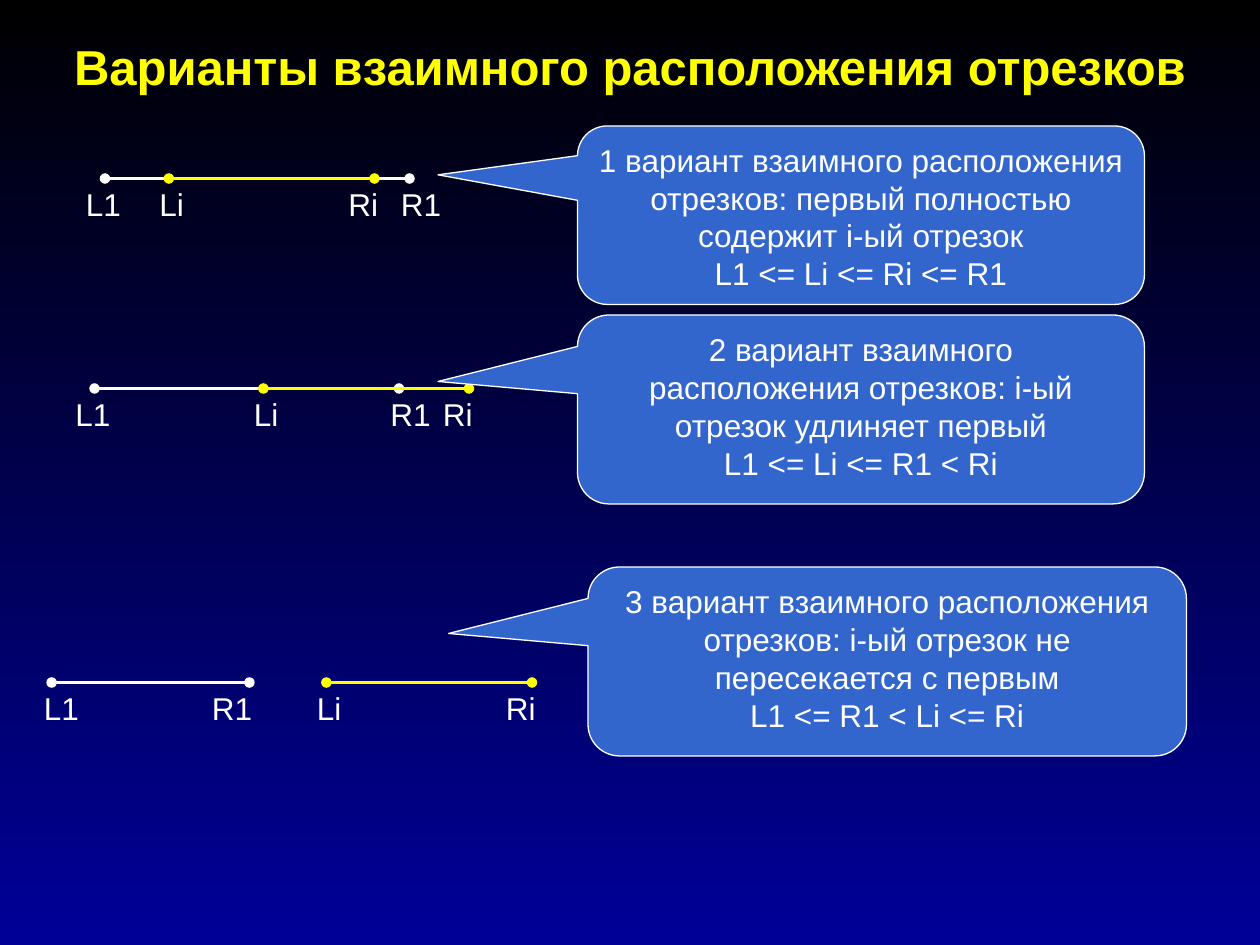
import pptx
import pptx.util
import pptx.dml.color
import pptx.enum.shapes
import pptx.enum.text
import pptx.oxml
import pptx.oxml.ns

Pt = pptx.util.Pt
RGB = pptx.dml.color.RGBColor.from_string
ALIGN = pptx.enum.text.PP_ALIGN
ANCHOR = pptx.enum.text.MSO_ANCHOR

THEME = {
    "font": "Arial",
    "title_size": 28,
    "text_size": 18,
    "title": "FFFF00",
    "text": "FFFFFF",
    "first": "FFFFFF",
    "other": "FFFF00",
    "callout": "3366CC",
    "sky": ("000000", "000099"),
}

TITLE = "Варианты взаимного расположения отрезков"
CASES = [
    {
        "y": 102,
        "segments": [
            ("first", 60, 234, [("L1", 42, 36), ("R1", 222, 42)]),
            ("other", 96.5, 214, [("Li", 84, 36), ("Ri", 192, 42)]),
        ],
        "callout": (330, 72, 324, 102),
        "tail": (-0.746, -0.226),
        "text": [
            "1 вариант взаимного расположения отрезков: первый полностью содержит i-ый отрезок",
            "L1 <= Li <= Ri <= R1",
        ],
    },
    {
        "y": 222,
        "segments": [
            ("first", 54, 228, [("L1", 36, 36), ("R1", 216, 42)]),
            ("other", 150.5, 268, [("Li", 138, 36), ("Ri", 246, 42)]),
        ],
        "callout": (330, 180, 324, 108),
        "tail": (-0.746, -0.148),
        "text": [
            "2 вариант взаимного расположения отрезков: i-ый отрезок удлиняет первый",
            "L1 <= Li <= R1 < Ri",
        ],
    },
    {
        "y": 390,
        "segments": [
            ("first", 29.5, 142.5, [("L1", 18, 42), ("R1", 114, 48)]),
            ("other", 186.5, 304, [("Li", 174, 36), ("Ri", 282, 42)]),
        ],
        "callout": (336, 324, 342, 108),
        "tail": (-0.733, -0.148),
        "text": [
            "3 вариант взаимного расположения отрезков: i-ый отрезок не пересекается с первым",
            "L1 <= R1 < Li <= Ri",
        ],
    },
]


def write(tf, lines, size, color, align, bold=False):
    tf.word_wrap = True
    for i, line in enumerate(lines):
        p = tf.paragraphs[0] if i == 0 else tf.add_paragraph()
        p.text = line
        p.alignment = align
        p.space_before = Pt(0)
        p.font.name = THEME["font"]
        p.font.size = Pt(size)
        p.font.bold = bold
        p.font.color.rgb = RGB(color)


def add_segment(s, y, color, x1, x2, labels):
    group = s.shapes.add_group_shape()
    line = group.shapes.add_connector(
        pptx.enum.shapes.MSO_CONNECTOR.STRAIGHT, Pt(x1), Pt(y), Pt(x2), Pt(y))
    line.line.color.rgb = RGB(THEME[color])
    line.line.width = Pt(2)
    ln = line.line._get_or_add_ln()
    for end in ("a:headEnd", "a:tailEnd"):
        el = pptx.oxml.ns.qn(end)
        ln.append(ln.makeelement(el, {"type": "oval"}))
    sp_pr = ln.getparent()
    sp_pr.append(sp_pr.makeelement(pptx.oxml.ns.qn("a:effectLst"), {}))
    for text, x, width in labels:
        box = group.shapes.add_textbox(Pt(x), Pt(y), Pt(width), Pt(29))
        write(box.text_frame, [text], THEME["text_size"], THEME["text"], ALIGN.LEFT)
        box.text_frame.auto_size = pptx.enum.text.MSO_AUTO_SIZE.SHAPE_TO_FIT_TEXT


def add_callout(s, box, tail, lines):
    sp = s.shapes.add_shape(
        pptx.enum.shapes.MSO_SHAPE.ROUNDED_RECTANGULAR_CALLOUT, *map(Pt, box))
    sp.shadow.inherit = False
    for i, value in enumerate((*tail, 0.167)):
        sp.adjustments[i] = value
    sp.fill.solid()
    sp.fill.fore_color.rgb = RGB(THEME["callout"])
    sp.line.color.rgb = RGB(THEME["text"])
    sp.line.width = Pt(0.75)
    sp.text_frame.vertical_anchor = ANCHOR.TOP
    write(sp.text_frame, lines, THEME["text_size"], THEME["text"], ALIGN.CENTER)


def main():
    prs = pptx.Presentation()
    prs.slide_width, prs.slide_height = Pt(720), Pt(540)
    s = prs.slides.add_slide(prs.slide_layouts[5])

    fill = s.background.fill
    fill.gradient()
    fill.gradient_angle = 270
    for stop, color in zip(fill.gradient_stops, THEME["sky"]):
        stop.color.rgb = RGB(color)

    title = s.shapes.title
    title.left, title.top, title.width, title.height = map(Pt, (18, 21.6, 684, 32.4))
    title.text_frame.vertical_anchor = ANCHOR.MIDDLE
    title.text_frame.auto_size = pptx.enum.text.MSO_AUTO_SIZE.NONE
    write(title.text_frame, [TITLE], THEME["title_size"], THEME["title"], ALIGN.CENTER, True)

    for case in CASES:
        for segment in case["segments"]:
            add_segment(s, case["y"], *segment)
        add_callout(s, case["callout"], case["tail"], case["text"])

    prs.save("out.pptx")


if __name__ == "__main__":
    main()
